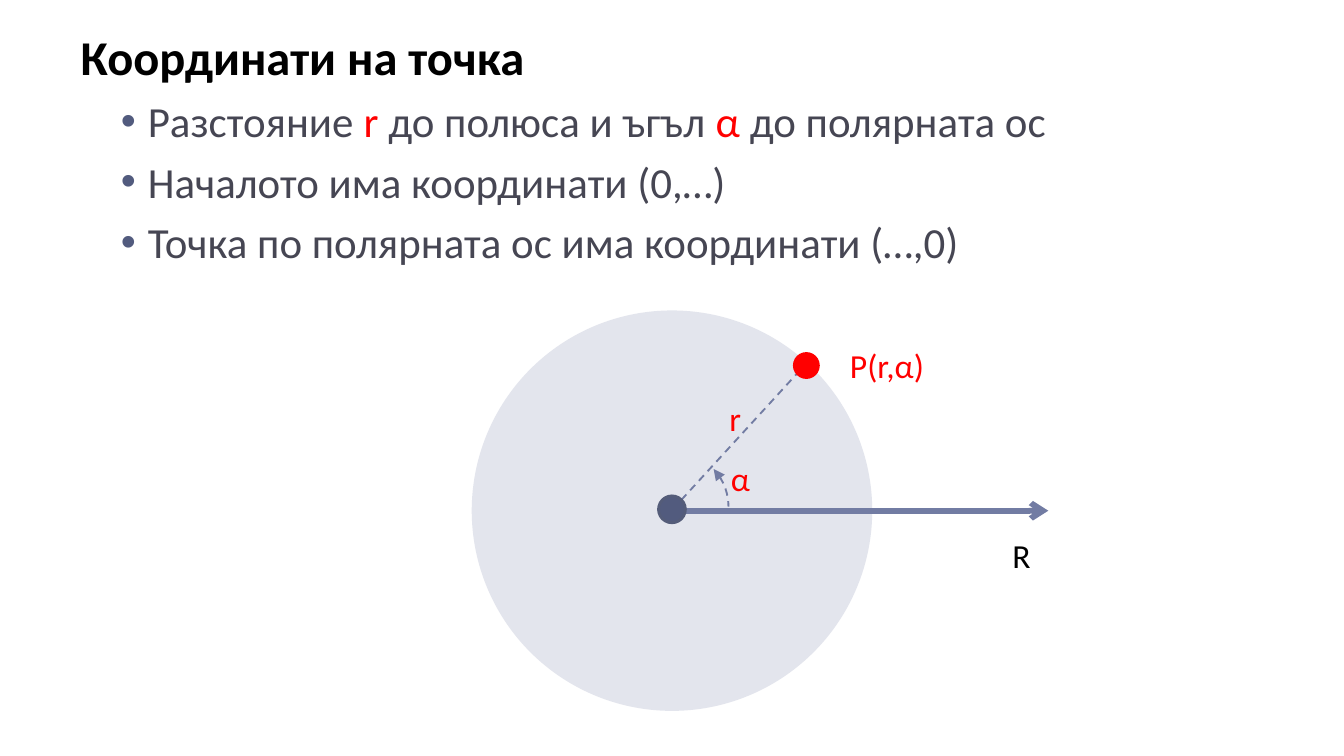
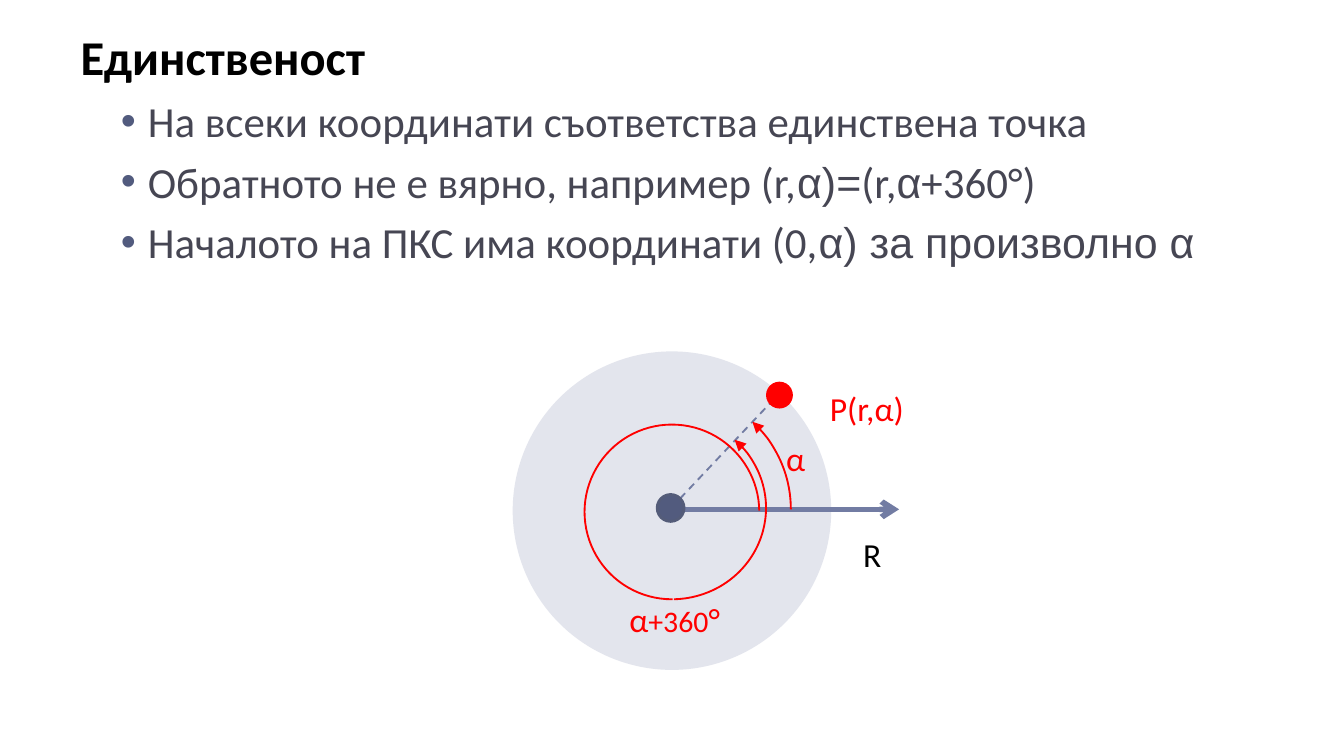
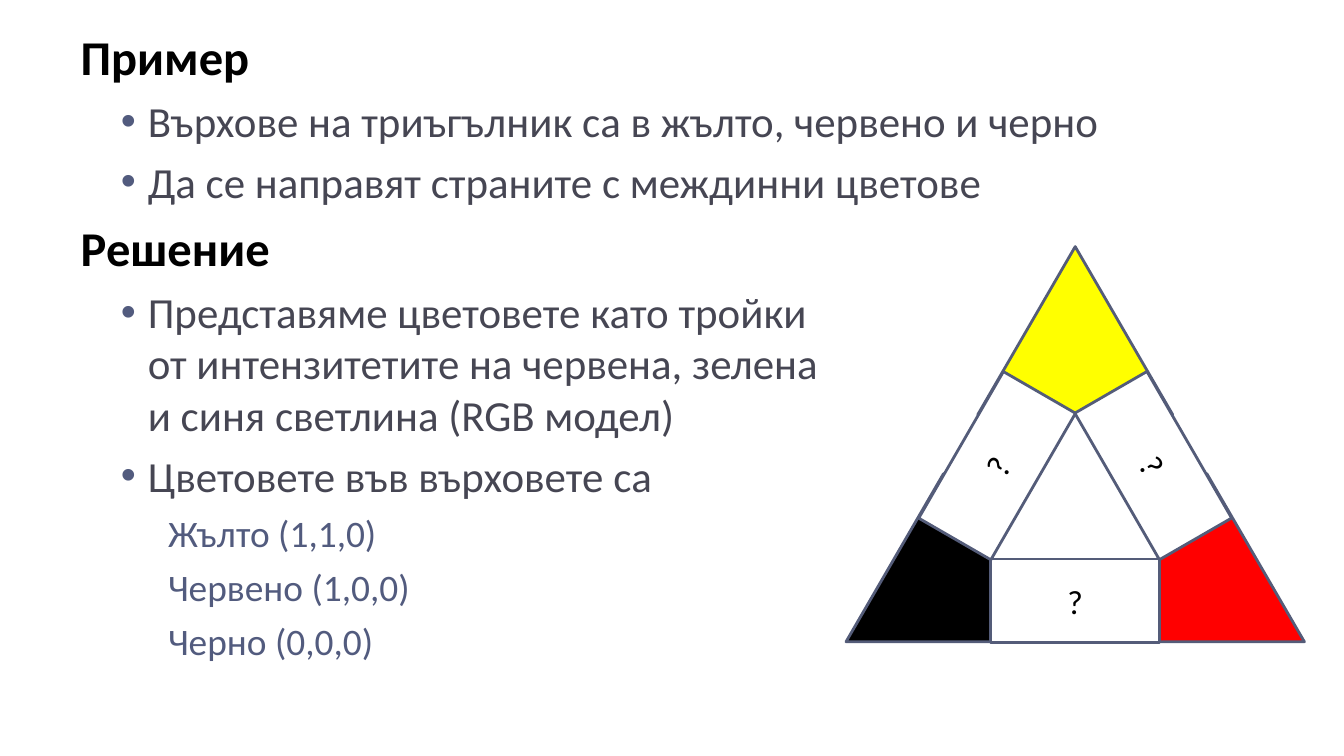
from copy import deepcopy
from math import cos, radians, sin

from lxml.etree import SubElement
from pptx import Presentation
from pptx.dml.color import RGBColor
from pptx.enum.dml import MSO_LINE
from pptx.enum.shapes import MSO_CONNECTOR, MSO_SHAPE
from pptx.enum.text import MSO_ANCHOR, MSO_AUTO_SIZE, PP_ALIGN
from pptx.oxml.ns import qn
from pptx.util import Inches, Pt

COLORS = {
    "heading": "000000", "text": "464653", "pole": "525B7E", "outline": "545C79",
    "axis": "727CA3", "disc": "E3E5ED", "red": "FF0000", "yellow": "FFFF00",
    "black": "000000", "white": "FFFFFF",
}

HEADING, BULLET, DETAIL = range(3)
LEVELS = {
    HEADING: dict(margin=0, indent=0, before=6,
                  font=dict(size=26, color="heading", bold=True)),
    BULLET: dict(margin=0.5, indent=-0.2, before=5, font=dict(size=23, color="text")),
    DETAIL: dict(margin=0.65, indent=0, before=5, font=dict(size=20, color="pole")),
}


def rgb(name):
    return RGBColor.from_string(COLORS[name])


def write(paragraph, text, size=18, color="black", bold=False, font="Calibri"):
    """Append text to a paragraph; each newline becomes a line break."""
    for i, line in enumerate(text.split("\n")):
        if i:
            paragraph.add_line_break()
            paragraph._p[-1].insert(0, deepcopy(run._r.rPr))
        run = paragraph.add_run()
        run.text = line
        run.font.name, run.font.size, run.font.bold = font, Pt(size), bold
        run.font.color.rgb = rgb(color)


def write_runs(paragraph, runs, **base):
    """Write a string, or a list of strings and (string, format) pairs."""
    for part in [runs] if isinstance(runs, str) else runs:
        text, changes = (part, {}) if isinstance(part, str) else part
        write(paragraph, text, **{**base, **changes})


def set_bullet(paragraph, level):
    style = LEVELS[level]
    pPr = paragraph._p.get_or_add_pPr()
    pPr.set("marL", str(Inches(style["margin"])))
    pPr.set("indent", str(Inches(style["indent"])))
    if level == BULLET:
        SubElement(SubElement(pPr, qn("a:buClr")), qn("a:srgbClr"), val=COLORS["pole"])
        SubElement(pPr, qn("a:buFont"), typeface="Arial")
        SubElement(pPr, qn("a:buChar"), char="•")
    else:
        SubElement(pPr, qn("a:buNone"))


class Deck:
    def __init__(self):
        self.prs = Presentation()
        self.prs.slide_width = Inches(10)
        self.prs.slide_height = Inches(10 * 9 / 16)

    def new_slide(self, paragraphs):
        """Start a slide whose body holds (level, runs) paragraphs."""
        slide = self.prs.slides.add_slide(self.prs.slide_layouts[1])
        self.shapes = slide.shapes
        heading = slide.shapes.title._element
        heading.getparent().remove(heading)
        body = slide.placeholders[1]
        body.left, body.top = Inches(0.5), Inches(0.15)
        body.width, body.height = Inches(9.33), Inches(5.42)
        frame = body.text_frame
        frame.word_wrap, frame.auto_size = True, MSO_AUTO_SIZE.NONE
        frame.vertical_anchor = MSO_ANCHOR.TOP
        for i, (level, runs) in enumerate(paragraphs):
            paragraph = frame.add_paragraph() if i else frame.paragraphs[0]
            paragraph.level = level
            set_bullet(paragraph, level)
            paragraph.space_before = Pt(LEVELS[level]["before"] if i else 0)
            write_runs(paragraph, runs, **LEVELS[level]["font"])

    def start_group(self):
        """Send the following shapes of this slide into a group."""
        self.shapes = self.shapes.add_group_shape().shapes

    def shape(self, kind, center, width, height, fill=None, line=None, weight=1.5):
        x, y = center
        shape = self.shapes.add_shape(kind, Inches(x - width / 2), Inches(y - height / 2),
                                      Inches(width), Inches(height))
        shape.shadow.inherit = False
        if fill:
            shape.fill.solid()
            shape.fill.fore_color.rgb = rgb(fill)
        else:
            shape.fill.background()
        if line:
            shape.line.color.rgb, shape.line.width = rgb(line), Pt(weight)
        else:
            shape.line.fill.background()
        return shape

    def circle(self, center, diameter, fill, line=None):
        self.shape(MSO_SHAPE.OVAL, center, diameter, diameter, fill, line)

    def arc(self, center, width, height, start, end, color, arrow=True, dashed=False):
        """Draw a clockwise arc between two angles in degrees."""
        arc = self.shape(MSO_SHAPE.ARC, center, width, height, line=color, weight=1)
        arc.adjustments[0], arc.adjustments[1] = start * 0.6, end * 0.6
        if dashed:
            arc.line.dash_style = MSO_LINE.DASH
        if arrow:
            SubElement(arc.line._get_or_add_ln(), qn("a:headEnd"), type="triangle")

    def line(self, start, end, weight, arrow=False, dashed=False):
        line = self.shapes.add_connector(MSO_CONNECTOR.STRAIGHT,
                                         *(Inches(v) for v in (*start, *end)))
        SubElement(line._element.spPr, qn("a:effectLst"))
        line.line.color.rgb, line.line.width = rgb("axis"), Pt(weight)
        if dashed:
            line.line.dash_style = MSO_LINE.DASH
        if arrow:
            SubElement(line.line._get_or_add_ln(), qn("a:tailEnd"), type="arrow")

    def center_text(self, frame, runs, **style):
        frame.margin_left = frame.margin_right = 0
        frame.word_wrap, frame.vertical_anchor = True, MSO_ANCHOR.MIDDLE
        frame.paragraphs[0].alignment = PP_ALIGN.CENTER
        write_runs(frame.paragraphs[0], runs, **style)

    def label(self, center, runs, color="red"):
        x, y = center
        box = self.shapes.add_textbox(Inches(x - 0.4), Inches(y - 0.2),
                                      Inches(0.8), Inches(0.4))
        self.center_text(box.text_frame, runs, color=color)


def polar_plane(deck, pole, diameter, axis_end, point, point_label):
    """Draw the disc, polar axis, pole and point P with its dashed radius."""
    x, y = pole
    axis_y = y + 0.01
    deck.circle((5, 3.8), diameter, "disc")
    deck.line((x, axis_y), (axis_end, axis_y), 3, arrow=True)
    deck.line((x + 0.07, y - 0.07), (point[0] - 0.07, point[1] + 0.06), 1, dashed=True)
    deck.circle(pole, 0.2, "pole", "outline")
    deck.circle(point, 0.2, "red")
    deck.label((axis_end - 0.2, y + 0.34), "R", "black")
    deck.label(point_label, "P(r,α)")


def coordinates_slide(deck):
    red = dict(color="red")
    deck.new_slide([
        (HEADING, "Координати на точка"),
        (BULLET, ["Разстояние ", ("r ", red), "до полюса и ъгъл ", ("α ", red),
                  "до полярната ос"]),
        (BULLET, "Началото има координати (0,…)"),
        (BULLET, "Точка по полярната ос има координати (…,0)"),
    ])
    polar_plane(deck, (5, 3.79), 2.98, 7.8, (6, 2.72), (6.6, 2.72))
    deck.arc((5.01, 3.77), 0.82, 0.82, 317, 0, "axis", dashed=True)
    deck.label((5.47, 3.11), "r")
    deck.label((5.51, 3.56), "α")


def uniqueness_slide(deck):
    arial = dict(font="Arial")
    deck.new_slide([
        (HEADING, "Единственост"),
        (BULLET, "На всеки координати съответства единствена точка"),
        (BULLET, ["Обратното не е вярно, например (r,", ("α)=", arial), "(r,",
                  ("α", arial), "+360°)"]),
        (BULLET, ["Началото на ПКС има координати (0,", ("α) за произволно α", arial)]),
    ])
    polar_plane(deck, (4.99, 3.78), 2.37, 6.69, (5.8, 2.94), (6.45, 3.04))
    deck.arc((5, 3.79), 1.77, 1.77, 312.6, 0, "red")
    deck.arc((5, 3.81), 1.3, 1.3, 89.6, 359.2, "red", arrow=False)
    deck.arc((5, 3.78), 1.4, 1.36, 312.6, 88.8, "red")
    deck.label((5.92, 3.41), "α")
    deck.label((5.02, 4.61), ["α", ("+360", dict(size=16)), "°"])


def triangle_slide(deck):
    deck.new_slide([
        (HEADING, "Пример"),
        (BULLET, "Върхове на триъгълник са в жълто, червено и черно"),
        (BULLET, "Да се направят страните с междинни цветове"),
        (HEADING, "Решение"),
        (BULLET, "Представяме цветовете като тройки\nот интензитетите на червена, "
                 "зелена\nи синя светлина (RGB модел)"),
        (BULLET, "Цветовете във върховете са"),
        (DETAIL, "Жълто (1,1,0)"),
        (DETAIL, "Червено (1,0,0)"),
        (DETAIL, "Черно (0,0,0)"),
    ])
    deck.start_group()
    corners = {"yellow": (8, 2.46), "red": (8.98, 4.15), "black": (7.02, 4.15)}
    for color, center in corners.items():
        deck.shape(MSO_SHAPE.ISOSCELES_TRIANGLE, center, 1.45, 1.25, color, "outline")
    middle_x, middle_y, distance = 8, 3.8, 0.67
    for direction, rotation in ((90, 0), (-30, 60), (210, 300)):
        angle = radians(direction)
        center = middle_x + distance * cos(angle), middle_y + distance * sin(angle)
        side = deck.shape(MSO_SHAPE.RECTANGLE, center, 1.26, 0.62, "white", "outline")
        side.rotation = rotation
        deck.center_text(side.text_frame, "?")


def main():
    deck = Deck()
    coordinates_slide(deck)
    uniqueness_slide(deck)
    triangle_slide(deck)
    deck.prs.save("out.pptx")


if __name__ == "__main__":
    main()
